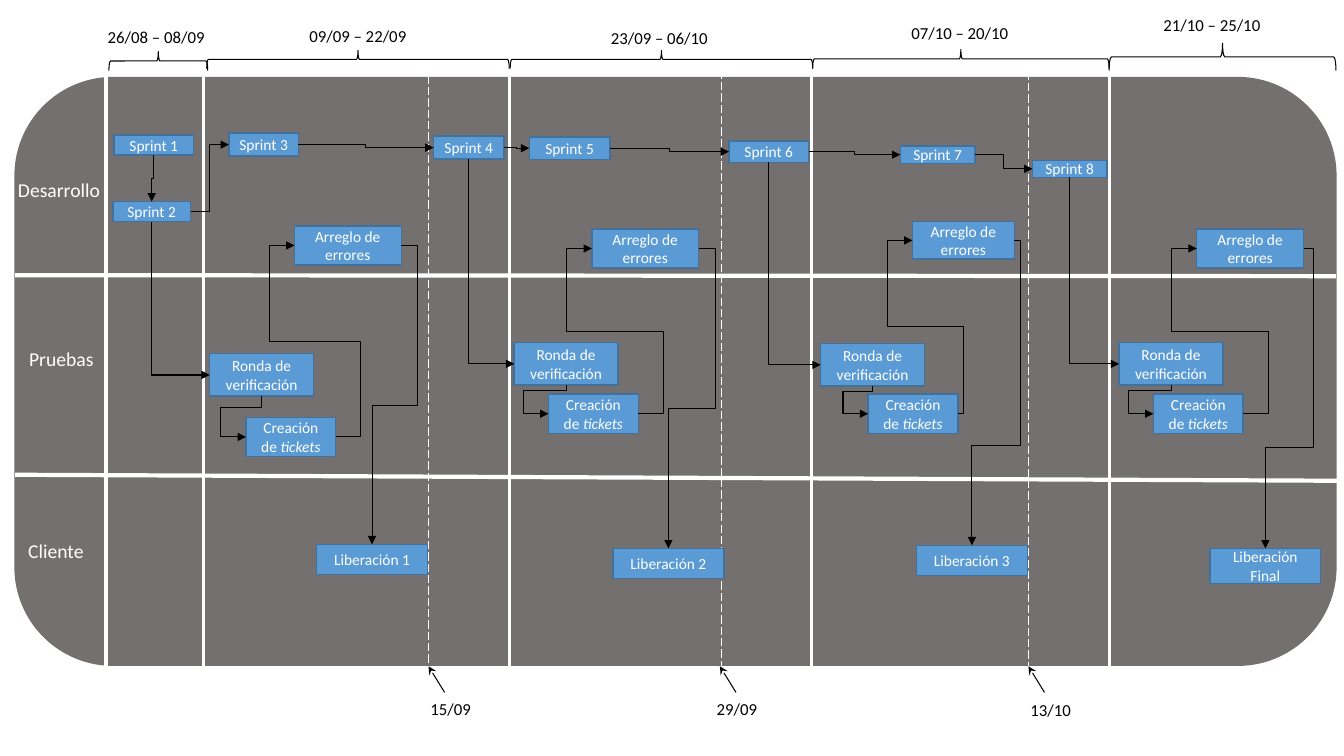
from pptx import Presentation
from pptx.dml.color import RGBColor
from pptx.enum.dml import MSO_LINE_DASH_STYLE as DASH
from pptx.enum.shapes import MSO_CONNECTOR as CONNECTOR, MSO_SHAPE as SHAPE
from pptx.enum.text import MSO_ANCHOR as ANCHOR, MSO_AUTO_SIZE as AUTO_SIZE, PP_ALIGN as ALIGN
from pptx.oxml.ns import qn
from pptx.util import Inches, Pt
from lxml.etree import SubElement

COLORS = {"band": "757070", "box": "5B9BD5", "box_line": "42719B",
          "white": "FFFFFF", "black": "000000"}
FONT = "Calibri"
LEFT, BOTTOM, RIGHT = 1, 2, 3  # connection sites of a rectangle
STUB = 0.25  # how far a connector runs beside a box before it turns

LANES = [("Desarrollo", 0.08, 1.72), ("Pruebas", 0.19, 3.39), ("Cliente", 0.18, 5.3)]
LANE_LINES = [(0.15, 2.73, 13.25, 2.74), (0.15, 4.71, 13.33, 4.77), (1.05, 0.76, 1.05, 6.74)]
PERIOD_LINES = [(2.02, 0.68), (5.05, 0.76), (8.05, 0.65), (11, 0.55)]
RELEASE_LINES = [(4.25, 0.75), (7.16, 0.7), (10.2, 0.71)]
LINE_HEIGHT = 6.1

# label, label left, label top, brace left, top, width, height
PERIODS = [("26/08 – 08/09", 0.97, 0.22, 1.08, 0.51, 0.98, 0.19),
           ("09/09 – 22/09", 2.97, 0.21, 2.05, 0.5, 3, 0.18),
           ("23/09 – 06/10", 5.96, 0.23, 5.06, 0.5, 3, 0.18),
           ("07/10 – 20/10", 8.94, 0.18, 8.06, 0.49, 2.94, 0.19),
           ("21/10 – 25/10", 11.44, 0.1, 11, 0.43, 2.25, 0.27)]

# label, label left, label top, arrow tip left
RELEASE_DATES = [("15/09", 4.17, 6.88, 4.25), ("29/09", 7.01, 6.88, 7.14),
                 ("13/10", 10.12, 6.89, 10.2)]

SPRINTS = [(1.13, 1.34, 0.79, 0.2), (1.12, 2, 0.77, 0.2), (2.27, 1.32, 0.69, 0.23),
           (4.3, 1.35, 0.7, 0.23), (5.25, 1.36, 0.8, 0.22), (7.23, 1.4, 0.79, 0.21),
           (8.93, 1.45, 0.74, 0.17), (10.24, 1.59, 0.74, 0.17)]

# Bends: drop below the check, right and height of the fix route, right and height of the release route
CYCLES = [
    {"sprint": 2, "check": (2.08, 3.51), "tickets": (2.44, 4.14), "fix": (2.92, 2.24, 1.06, 0.39),
     "release": ("Liberación 1", 3.14, 5.4, 1.1, 0.3), "bends": (4.04, 3.58, 3.39, 4.14, 4.02)},
    {"sprint": 4, "check": (5.1, 3.4), "tickets": (5.44, 3.91), "fix": (5.87, 2.27, 1.06, 0.39),
     "release": ("Liberación 2", 6.08, 5.44, 1.1, 0.3), "bends": (3.87, 6.58, 3.29, 7.1, 4.05)},
    {"sprint": 6, "check": (8.14, 3.41), "tickets": (8.61, 3.91), "fix": (9.05, 2.2, 1.01, 0.37),
     "release": ("Liberación 3", 9.09, 5.41, 1.1, 0.3), "bends": (3.88, 9.56, 3.24, 10.12, 4.42)},
    {"sprint": 8, "check": (11.1, 3.4), "tickets": (11.44, 3.91), "fix": (11.87, 2.27, 1.06, 0.39),
     "release": ("Liberación Final", 12, 5.44, 1.1, 0.35), "bends": (3.87, 12.58, 3.29, 13.03, 4.44)},
]


def rgb(name):
    """Return the named colour."""
    return RGBColor.from_string(COLORS[name])


def format_runs(paragraph, size, color):
    """Set font, size and colour of every run in a paragraph."""
    for run in paragraph.runs:
        run.font.name = FONT
        run.font.size = Pt(size)
        run.font.color.rgb = rgb(color)


def add_label(slide, text, left, top, width, size, color):
    """Add a text box with one line of text."""
    label = slide.shapes.add_textbox(Inches(left), Inches(top), Inches(width), Inches(size / 45))
    frame = label.text_frame
    frame.word_wrap = True
    frame.auto_size = AUTO_SIZE.SHAPE_TO_FIT_TEXT
    frame.text = text
    format_runs(frame.paragraphs[0], size, color)


def add_panel(slide, kind, at, fill, line, width=1):
    """Add a preset shape; without a fill name it stays empty."""
    shape = slide.shapes.add_shape(kind, *map(Inches, at))
    shape.shadow.inherit = False
    if fill:
        shape.fill.solid()
        shape.fill.fore_color.rgb = rgb(fill)
    else:
        shape.fill.background()
    shape.line.color.rgb = rgb(line)
    shape.line.width = Pt(width)
    return shape


def add_step(slide, text, at, italic=""):
    """Add a blue box with centred text and an optional italic ending."""
    step = add_panel(slide, SHAPE.RECTANGLE, at, "box", "box_line")
    frame = step.text_frame
    frame.vertical_anchor = ANCHOR.MIDDLE
    frame.text = text
    paragraph = frame.paragraphs[0]
    paragraph.alignment = ALIGN.CENTER
    if italic:
        run = paragraph.add_run()
        run.text = italic
        run.font.italic = True
    format_runs(paragraph, 11, "white")
    return step


def add_brace(slide, left, top, width, height):
    """Add a brace that opens downwards over a period."""
    at = (left + (width - height) / 2, top + (height - width) / 2, height, width)
    brace = add_panel(slide, SHAPE.LEFT_BRACE, at, None, "black", 0.75)
    brace.adjustments[0] = 0.083
    brace.rotation = 90


def style_line(connector, color, width, head=None, tail=None):
    """Format a connector, drop its shadow and add arrowheads."""
    connector.line.color.rgb = rgb(color)
    connector.line.width = Pt(width)
    line = connector.line._get_or_add_ln()
    for tag, kind in (("a:headEnd", head), ("a:tailEnd", tail)):
        if kind:
            SubElement(line, qn(tag)).set("type", kind)
    SubElement(connector._element.spPr, qn("a:effectLst"))


def add_line(slide, ends, color, width, head=None, dashed=False):
    """Add a straight line."""
    line = slide.shapes.add_connector(CONNECTOR.STRAIGHT, *map(Inches, ends))
    if dashed:
        line.line.dash_style = DASH.LONG_DASH
    style_line(line, color, width, head)


def site_point(shape, site):
    """Return the point of a connection site."""
    middle_x, middle_y = shape.left + shape.width // 2, shape.top + shape.height // 2
    return {LEFT: (shape.left, middle_y), RIGHT: (shape.left + shape.width, middle_y),
            BOTTOM: (middle_x, shape.top + shape.height)}.get(site, (middle_x, shape.top))


def add_elbow(slide, source, source_site, target, target_site, bends=(), corners=None):
    """Join two boxes; bends are turning coordinates, along the first direction and across in turn."""
    start, end = site_point(source, source_site), site_point(target, target_site)
    delta = [end[0] - start[0], end[1] - start[1]]
    down = source_site == BOTTOM
    if down:
        rotation, flip = (90, False) if delta[0] < 0 else (270, True)
    else:
        rotation, flip = (180, delta[0] > 0) if delta[1] < 0 else (0, delta[0] < 0)
    width, height = [abs(part) for part in (reversed(delta) if down else delta)]

    elbow = slide.shapes.add_connector(CONNECTOR.ELBOW, *start, *end)
    elbow.begin_connect(source, source_site)
    elbow.end_connect(target, target_site)
    elbow.left, elbow.top = [(start[0] + end[0] - width) // 2, (start[1] + end[1] - height) // 2]
    elbow.width, elbow.height = width, height
    transform = elbow._element.spPr.find(qn("a:xfrm"))
    transform.set("rot", str(rotation * 60000))
    transform.set("flipH", str(int(flip)))
    transform.set("flipV", "0")

    geometry = elbow._element.spPr.find(qn("a:prstGeom"))
    geometry.set("prst", f"bentConnector{corners or max(3, len(bends) + 2)}")
    guides = geometry.find(qn("a:avLst"))
    for index, bend in enumerate(bends):
        axis = (index + down) % 2
        share = (Inches(bend) - start[axis]) / delta[axis]
        guide = SubElement(guides, qn("a:gd"))
        guide.set("name", f"adj{index + 1}")
        guide.set("fmla", f"val {round(share * 100000)}")
    style_line(elbow, "black", 0.75, tail="triangle")


def add_cycle(slide, sprint, cycle):
    """Add the check, tickets, fix and release that follow a sprint."""
    drop, fix_right, fix_y, release_right, release_y = cycle["bends"]
    name, *release_at = cycle["release"]
    check = add_step(slide, "Ronda de verificación", (*cycle["check"], 1.03, 0.42))
    tickets = add_step(slide, "Creación de ", (*cycle["tickets"], 0.89, 0.39), "tickets")
    fix = add_step(slide, "Arreglo de errores", cycle["fix"])
    release = add_step(slide, name, release_at)
    add_elbow(slide, sprint, BOTTOM, check, LEFT, corners=2)
    add_elbow(slide, check, BOTTOM, tickets, LEFT, (drop, cycle["tickets"][0] - STUB))
    add_elbow(slide, tickets, RIGHT, fix, LEFT, (fix_right, fix_y, cycle["fix"][0] - STUB))
    add_elbow(slide, fix, RIGHT, release, 0, (release_right, release_y))


def main():
    """Build the release plan slide."""
    presentation = Presentation()
    presentation.slide_width, presentation.slide_height = Inches(13.33), Inches(7.5)
    slide = presentation.slides.add_slide(presentation.slide_layouts[6])

    band = add_panel(slide, SHAPE.ROUNDED_RECTANGLE, (0.15, 0.77, 13.1, 5.83), "band", "band")
    band.adjustments[0] = 0.167
    for ends in LANE_LINES:
        add_line(slide, ends, "white", 3)
    for x, top in PERIOD_LINES:
        add_line(slide, (x, top, x, top + LINE_HEIGHT), "white", 2.25)
    for x, top in RELEASE_LINES:
        add_line(slide, (x, top, x, top + LINE_HEIGHT), "white", 0.75, dashed=True)
    for text, left, top in LANES:
        add_label(slide, text, left, top, 1.25, 14, "white")

    sprints = [add_step(slide, f"Sprint {number}", at) for number, at in enumerate(SPRINTS, 1)]
    add_elbow(slide, sprints[0], BOTTOM, sprints[1], 0)
    for source, target in zip(sprints[1:], sprints[2:]):
        add_elbow(slide, source, RIGHT, target, LEFT)
    for cycle in CYCLES:
        add_cycle(slide, sprints[cycle["sprint"] - 1], cycle)

    for text, left, top, *brace_at in PERIODS:
        add_label(slide, text, left, top, 1.44, 12, "black")
        add_brace(slide, *brace_at)
    for text, left, top, tip in RELEASE_DATES:
        add_label(slide, text, left, top, 1.91, 12, "black")
        add_line(slide, (tip, 6.61, tip + 0.16, 6.87), "black", 0.75, head="stealth")
    presentation.save("out.pptx")


main()
